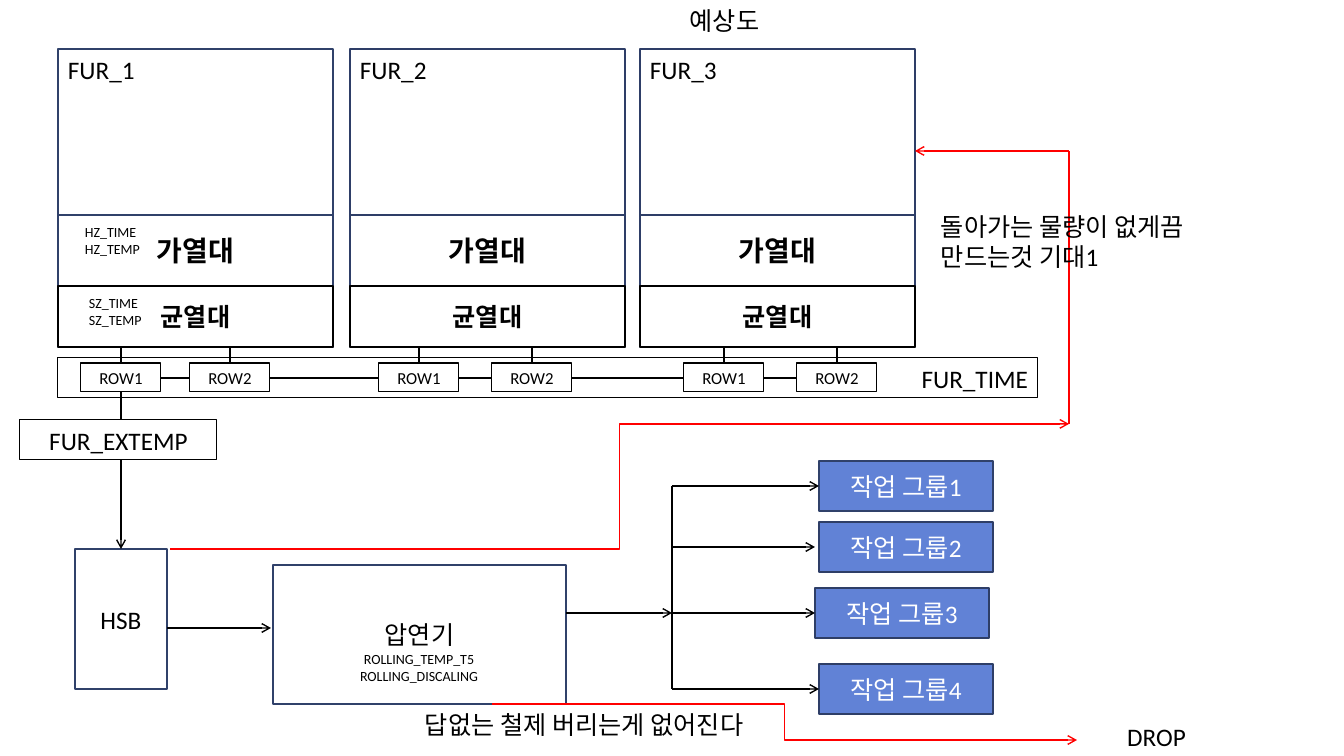
"""Build the furnace, rolling mill and work group flow slide."""
from lxml import etree
from pptx import Presentation
from pptx.dml.color import RGBColor
from pptx.enum.shapes import MSO_CONNECTOR, MSO_SHAPE
from pptx.enum.text import MSO_ANCHOR, PP_ALIGN
from pptx.oxml.ns import qn
from pptx.util import Emu, Pt

RECTANGLE = MSO_SHAPE.RECTANGLE
STRAIGHT, ELBOW = MSO_CONNECTOR.STRAIGHT, MSO_CONNECTOR.ELBOW
LEFT, CENTER, RIGHT = PP_ALIGN.LEFT, PP_ALIGN.CENTER, PP_ALIGN.RIGHT
TOP, MIDDLE = MSO_ANCHOR.TOP, MSO_ANCHOR.MIDDLE
TOP_SIDE, LEFT_SIDE = 0, 1

PIXELS_PER_INCH = 100.8
FONT = "Calibri"
COLORS = {
    "black": "000000",
    "white": "FFFFFF",
    "navy": "30416A",
    "dark navy": "2E3E67",
    "blue": "6182D6",
    "red": "FF0000",
}

FURNACE_LEFTS = (58, 350, 640)
FURNACE_WIDTH = 275
FURNACE_BOTTOM = 347
ROW_LEFTS = (81, 190, 379, 492, 684, 797)
ROW_WIDTH = 80
ROW_MIDDLE = 378
GROUP_POSITIONS = ((819, 461), (819, 522), (815, 588), (819, 664))
BRANCH_X = 672


def px(length):
    """Turn a length in pixels into EMU."""
    return Emu(round(length * 914400 / PIXELS_PER_INCH))


def color(name):
    """Return the named colour."""
    return RGBColor.from_string(COLORS[name])


def write(shape, lines, size, align, anchor=TOP, ink="black", bold=False):
    """Write the lines into a shape, one paragraph each."""
    frame = shape.text_frame
    frame.word_wrap = True
    frame.vertical_anchor = anchor
    frame.text = "\n".join(lines)
    for paragraph in frame.paragraphs:
        paragraph.alignment = align
        paragraph.font.name = FONT
        paragraph.font.size = Pt(size)
        paragraph.font.bold = bold
        paragraph.font.color.rgb = color(ink)


def add_label(slide, frame, *lines, size=18, align=LEFT):
    """Add a text box."""
    label = slide.shapes.add_textbox(*map(px, frame))
    write(label, lines, size, align)


def add_box(slide, frame, text="", outline="black", width=0.75, fill="white",
            size=18, align=CENTER, anchor=TOP, ink="black", bold=False):
    """Add an outlined rectangle with optional text."""
    box = slide.shapes.add_shape(RECTANGLE, *map(px, frame))
    box.shadow.inherit = False
    if fill:
        box.fill.solid()
        box.fill.fore_color.rgb = color(fill)
    else:
        box.fill.background()
    box.line.color.rgb = color(outline)
    box.line.width = Pt(width)
    if text:
        write(box, [text], size, align, anchor, ink, bold)
    return box


def add_line(slide, start, end, ink="black", arrow=True, kind=STRAIGHT):
    """Add a connector, with an open arrowhead at its end if wanted."""
    line = slide.shapes.add_connector(kind, *map(px, start + end))
    line.line.color.rgb = color(ink)
    line.line.width = Pt(1)
    if arrow:
        etree.SubElement(line.line._get_or_add_ln(), qn("a:tailEnd"), type="arrow")
    etree.SubElement(line._element.spPr, qn("a:effectLst"))
    return line


def add_furnace(slide, number, left, outline):
    """Add a furnace with its heating and soaking zones."""
    add_box(slide, (left, 49, FURNACE_WIDTH, 298), outline=outline, width=1.5)
    add_label(slide, (left, 49, FURNACE_WIDTH, 40), f"FUR_{number}")
    add_box(slide, (left, 215, FURNACE_WIDTH, 71), "가열대", outline, 1.5,
            size=20, anchor=MIDDLE, bold=True)
    add_box(slide, (left, 286, FURNACE_WIDTH, 61), "균열대", width=1.5,
            anchor=MIDDLE, bold=True)


def add_furnace_rows(slide, hsb):
    """Add the row boxes, their feeds and the line down to the HSB."""
    centers = [left + ROW_WIDTH // 2 for left in ROW_LEFTS]
    add_line(slide, (centers[-1], ROW_MIDDLE), (centers[0], ROW_MIDDLE), arrow=False)
    add_box(slide, (58, 358, 980, 40), "FUR_TIME", fill=None, align=RIGHT)
    to_hsb = add_line(slide, (centers[0], FURNACE_BOTTOM), (centers[0], 549))
    to_hsb.end_connect(hsb, TOP_SIDE)
    for center in centers[1:]:
        add_line(slide, (center, FURNACE_BOTTOM), (center, ROW_MIDDLE))
    for index, left in enumerate(ROW_LEFTS):
        add_box(slide, (left, 363, ROW_WIDTH, 29), f"ROW{index % 2 + 1}", size=12)
    add_box(slide, (20, 420, 197, 40), "FUR_EXTEMP")


def add_work_groups(slide):
    """Add the four work groups and the branches that feed them."""
    add_line(slide, (566, 613), (BRANCH_X, 613))
    add_line(slide, (BRANCH_X, 689), (BRANCH_X, 486), arrow=False)
    for number, (left, top) in enumerate(GROUP_POSITIONS, 1):
        outline = "navy" if number == 1 else "dark navy"
        group = add_box(slide, (left, top, 174, 50), f"작업 그룹{number}", outline, 1.5,
                        fill="blue", anchor=MIDDLE, ink="white")
        branch = add_line(slide, (BRANCH_X, top + 25), (815, top + 25))
        if number != 2:
            branch.end_connect(group, LEFT_SIDE)


def add_red_routes(slide):
    """Add the return route to the furnaces and the drop route."""
    add_line(slide, (170, 549), (1069, 424), "red", kind=ELBOW)
    add_line(slide, (1069, 151), (915, 151), "red")
    add_line(slide, (1069, 151), (1069, 424), "red", arrow=False)
    add_line(slide, (492, 704), (1077, 740), "red", kind=ELBOW)


def main():
    """Build and save the presentation."""
    presentation = Presentation()
    presentation.slide_width, presentation.slide_height = px(1344), px(756)
    slide = presentation.slides.add_slide(presentation.slide_layouts[6])

    add_label(slide, (627, 0, 195, 40), "예상도", align=CENTER)
    for number, left in enumerate(FURNACE_LEFTS, 1):
        add_furnace(slide, number, left, "navy" if number == 1 else "dark navy")
    add_label(slide, (75, 219, 80, 43), "HZ_TIME", "HZ_TEMP", size=10)
    add_label(slide, (79, 290, 81, 43), "SZ_TIME", "SZ_TEMP", size=10)

    hsb = add_box(slide, (75, 549, 92, 140), "HSB", "navy", 1.5, anchor=MIDDLE)
    add_line(slide, (167, 628), (271, 628))
    add_box(slide, (273, 565, 293, 139), "압연기", "navy", 1.5, anchor=MIDDLE)
    add_label(slide, (289, 646, 260, 43), "ROLLING_TEMP_T5", "ROLLING_DISCALING",
              size=10, align=CENTER)
    add_furnace_rows(slide, hsb)
    add_work_groups(slide)

    add_red_routes(slide)
    add_label(slide, (931, 206, 274, 70), "돌아가는 물량이 없게끔 만드는것 기대1")
    add_label(slide, (1077, 716, 159, 40), "DROP", align=CENTER)
    add_label(slide, (415, 704, 369, 39), "답없는 철제 버리는게 없어진다")
    presentation.save("out.pptx")


if __name__ == "__main__":
    main()
